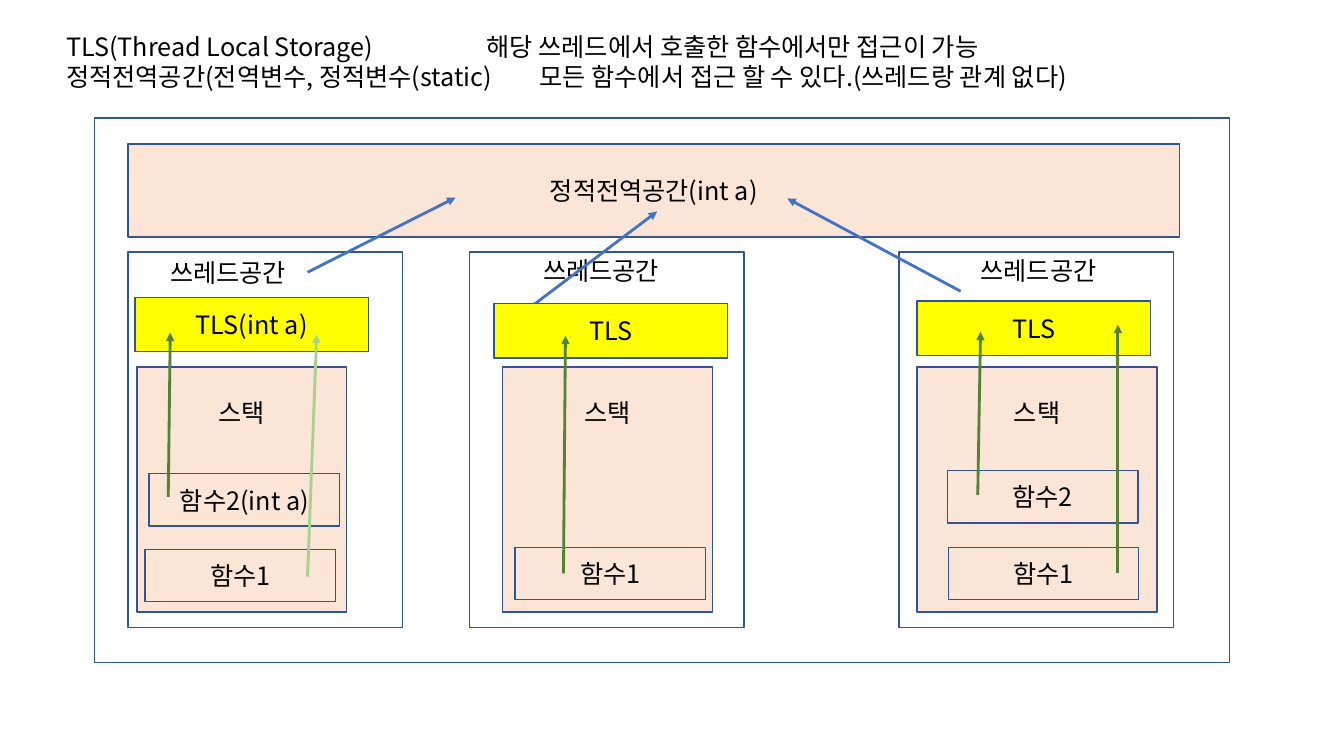
from lxml.etree import SubElement
from pptx import Presentation
from pptx.dml.color import RGBColor
from pptx.enum.shapes import MSO_CONNECTOR as Connector, MSO_SHAPE as Shape
from pptx.enum.text import MSO_ANCHOR as Anchor, PP_ALIGN as Align
from pptx.oxml.ns import qn
from pptx.util import Cm, Pt

FONT = "Noto Sans CJK KR"
BLACK = RGBColor(0x00, 0x00, 0x00)
NAVY = RGBColor(0x32, 0x54, 0x91)
PEACH = RGBColor(0xFB, 0xE5, 0xD6)
YELLOW = RGBColor(0xFF, 0xFF, 0x00)
BLUE = RGBColor(0x44, 0x72, 0xC4)
GREEN = RGBColor(0x54, 0x82, 0x35)
LIGHT_GREEN = RGBColor(0xA9, 0xD1, 0x8E)

# Each title line: left text, tab position in cm, right text
TITLE = [
    ("TLS(Thread Local Storage)", 10.59, "해당 쓰레드에서 호출한 함수에서만 접근이 가능"),
    ("정적전역공간(전역변수, 정적변수(static)", 11.93,
     "모든 함수에서 접근 할 수 있다.(쓰레드랑 관계 없다)"),
]

# Positions in cm; every function is (text, left, top)
THREADS = [
    dict(left=3.23, label=(4.04, 6.35), stack=(3.45, 5.28),
         tls=("TLS(int a)", 3.4, 7.49),
         functions=[("함수1", 3.66, 13.84), ("함수2(int a)", 3.76, 11.94)]),
    dict(left=11.84, label=(13.44, 6.3), stack=(12.67, 5.28),
         tls=("TLS", 12.45, 7.65),
         functions=[("함수1", 12.98, 13.79)]),
    dict(left=22.66, label=(24.46, 6.3), stack=(23.11, 6.05),
         tls=("TLS", 23.11, 7.59),
         functions=[("함수1", 23.9, 13.79), ("함수2", 23.88, 11.86)]),
]

# Start x, start y, end x, end y, colour
STATIC_ARROWS = [
    (7.75, 6.86, 11.48, 4.98, BLUE),
    (13.46, 7.67, 16.56, 5.33, BLUE),
    (24.21, 7.34, 19.84, 5.0, BLUE),
]
TLS_ARROWS = [
    (4.24, 12.52, 4.29, 8.38, GREEN),
    (7.75, 14.53, 7.98, 8.43, LIGHT_GREEN),
    (14.2, 14.45, 14.25, 8.46, GREEN),
    (24.64, 12.47, 24.71, 8.36, GREEN),
    (28.17, 14.45, 28.17, 8.18, GREEN),
]


def add_span(para, text):
    span = para.add_run()
    span.text = text
    font = span.font
    font.name, font.size, font.color.rgb = FONT, Pt(18), BLACK
    SubElement(font._element, qn("a:ea"), typeface=FONT)


def add_tab_stop(para, position):
    tabs = SubElement(para._p.get_or_add_pPr(), qn("a:tabLst"))
    SubElement(tabs, qn("a:tab"), pos=str(Cm(position)), algn="l")


def add_text_box(page, left, top, width, height):
    frame = page.shapes.add_textbox(Cm(left), Cm(top), Cm(width), Cm(height)).text_frame
    frame.word_wrap = False
    return frame


def add_title(page):
    frame = add_text_box(page, 1.42, 0.66, 27.36, 1.8)
    for index, (term, position, meaning) in enumerate(TITLE):
        para = frame.add_paragraph() if index else frame.paragraphs[0]
        add_tab_stop(para, position)
        add_span(para, term)
        add_span(para, "\t" + meaning)


def add_box(page, left, top, width, height, fill=None, text=None):
    box = page.shapes.add_shape(Shape.RECTANGLE, Cm(left), Cm(top), Cm(width), Cm(height))
    box.shadow.inherit = False
    box.line.color.rgb, box.line.width = NAVY, Pt(1)
    if fill is None:
        box.fill.background()
    else:
        box.fill.solid()
        box.fill.fore_color.rgb = fill
    if text:
        box.text_frame.vertical_anchor = Anchor.MIDDLE
        para = box.text_frame.paragraphs[0]
        para.alignment = Align.CENTER
        add_span(para, text)
    return box


def add_arrow(page, start_x, start_y, end_x, end_y, color):
    arrow = page.shapes.add_connector(
        Connector.STRAIGHT, Cm(start_x), Cm(start_y), Cm(end_x), Cm(end_y))
    arrow.line.color.rgb, arrow.line.width = color, Pt(2)
    SubElement(arrow.line._get_or_add_ln(), qn("a:tailEnd"), type="triangle")
    SubElement(arrow._element.spPr, qn("a:effectLst"))


def add_thread_space(page, thread):
    add_box(page, thread["left"], 6.35, 6.91, 9.47)
    label = add_text_box(page, *thread["label"], 3.71, 1.02)
    add_span(label.paragraphs[0], "쓰레드공간")
    stack_left, stack_width = thread["stack"]
    stack = add_box(page, stack_left, 9.25, stack_width, 6.17, PEACH, "스택")
    stack.text_frame.vertical_anchor = Anchor.TOP
    stack.text_frame.margin_top = Cm(0.75)


def add_thread_parts(page, thread):
    for text, left, top in thread["functions"]:
        add_box(page, left, top, 4.8, 1.32, PEACH, text)
    text, left, top = thread["tls"]
    add_box(page, left, top, 5.89, 1.37, YELLOW, text)


def main():
    deck = Presentation()
    deck.slide_width, deck.slide_height = Cm(33.87), Cm(19.05)
    page = deck.slides.add_slide(deck.slide_layouts[6])

    # Title, process frame and static area
    add_title(page)
    add_box(page, 2.39, 2.97, 28.6, 13.72)
    add_box(page, 3.23, 3.63, 26.49, 2.34, PEACH, "정적전역공간(int a)")

    # Threads, with the arrows to the static area below their parts
    for thread in THREADS:
        add_thread_space(page, thread)
    for arrow in STATIC_ARROWS:
        add_arrow(page, *arrow)
    for thread in THREADS:
        add_thread_parts(page, thread)

    # Arrows from the functions to TLS
    for arrow in TLS_ARROWS:
        add_arrow(page, *arrow)

    deck.save("out.pptx")


if __name__ == "__main__":
    main()
